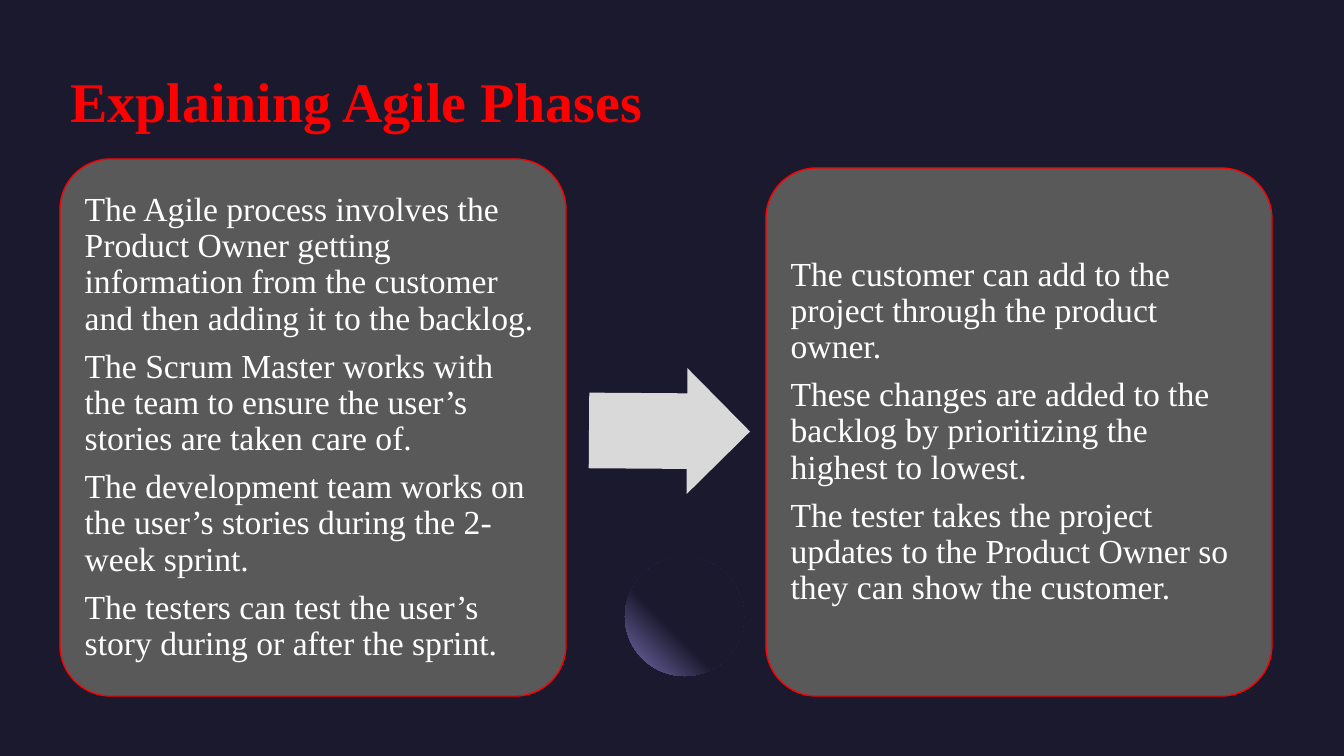
from dataclasses import dataclass

from lxml.etree import SubElement
from pptx import Presentation
from pptx.dml.color import RGBColor
from pptx.enum.shapes import MSO_SHAPE as Preset
from pptx.enum.text import MSO_ANCHOR as Anchor, MSO_AUTO_SIZE as AutoSize, PP_ALIGN as Align
from pptx.oxml.ns import qn
from pptx.shapes.autoshape import Shape
from pptx.slide import Slide
from pptx.text.text import TextFrame
from pptx.util import Emu, Inches, Pt

EMU_PER_PX = 12192000 / 1344
FONT = "Times New Roman"
TITLE_ONLY = 5
COLORS = {
    "background": "1B192E",
    "glow": "7771B2",
    "accent": "FF0000",
    "panel": "595959",
    "arrow": "D9D9D9",
    "text": "FFFFFF",
}


@dataclass(frozen=True)
class Box:
    left: int
    top: int
    width: int
    height: int

    def emu(self) -> list[Emu]:
        return [px(v) for v in (self.left, self.top, self.width, self.height)]


@dataclass(frozen=True)
class Panel:
    box: Box
    paragraphs: tuple[str, ...]


TITLE_BOX = Box(60, 22, 1261, 113)
ORB_BOX = Box(625, 557, 119, 119)
ARROW_BOX = Box(589, 368, 161, 126)
PANELS = (
    Panel(Box(60, 159, 506, 537), (
        "The Agile process involves the Product Owner getting information from the "
        "customer and then adding it to the backlog.",
        "The Scrum Master works with the team to ensure the user’s stories are taken care of.",
        "The development team works on the user’s stories during the 2-week sprint.",
        "The testers can test the user’s story during or after the sprint.",
    )),
    Panel(Box(766, 168, 506, 528), (
        "The customer can add to the project through the product owner.",
        "These changes are added to the backlog by prioritizing the highest to lowest.",
        "The tester takes the project updates to the Product Owner so they can show the customer.",
    )),
)


def px(value: int) -> Emu:
    return Emu(round(value * EMU_PER_PX))


def color(name: str) -> RGBColor:
    return RGBColor.from_string(COLORS[name])


def write(frame: TextFrame, paragraphs: tuple[str, ...], size: int, color_name: str,
          bold: bool = False, space_after: float = 0) -> None:
    frame.word_wrap = True
    frame.auto_size = AutoSize.NONE
    frame.text = "\n".join(paragraphs)
    for paragraph in frame.paragraphs:
        paragraph.alignment = Align.LEFT
        paragraph.line_spacing = 0.9
        paragraph.space_before = Pt(0)
        paragraph.space_after = Pt(space_after)
        paragraph.font.name = FONT
        paragraph.font.size = Pt(size)
        paragraph.font.bold = bold
        paragraph.font.color.rgb = color(color_name)


def add_preset(slide: Slide, preset: Preset, box: Box) -> Shape:
    shape = slide.shapes.add_shape(preset, *box.emu())
    shape.shadow.inherit = False
    shape.line.fill.background()
    return shape


def add_title(slide: Slide, text: str) -> None:
    title = slide.shapes.title
    title.left, title.top, title.width, title.height = TITLE_BOX.emu()
    frame = title.text_frame
    frame.vertical_anchor = Anchor.BOTTOM
    frame.margin_left = Inches(0.1)
    frame.margin_top = frame.margin_right = frame.margin_bottom = 0
    write(frame, (text,), 40, "accent", bold=True)


def add_orb(slide: Slide) -> None:
    """Draw the circle whose glow spreads from its top right corner."""
    orb = add_preset(slide, Preset.OVAL, ORB_BOX)
    orb.fill.gradient()
    stops = (("background", 0.6), ("glow", 1))
    for stop, (name, position) in zip(orb.fill.gradient_stops, stops):
        stop.color.rgb = color(name)
        stop.position = position
    gradient = orb.element.spPr.find(qn("a:gradFill"))
    gradient.remove(gradient.find(qn("a:lin")))
    radial = SubElement(gradient, qn("a:path"), {"path": "circle"})
    SubElement(radial, qn("a:fillToRect"), {"l": "100000", "b": "100000"})


def add_panel(slide: Slide, panel: Panel) -> None:
    shape = add_preset(slide, Preset.ROUNDED_RECTANGLE, panel.box)
    shape.adjustments[0] = 0.1
    shape.fill.solid()
    shape.fill.fore_color.rgb = color("panel")
    shape.line.color.rgb = color("accent")
    shape.line.width = Pt(1)
    frame = shape.text_frame
    frame.vertical_anchor = Anchor.MIDDLE
    frame.margin_left = frame.margin_right = Inches(0.1)
    frame.margin_top = frame.margin_bottom = Inches(0.1)
    write(frame, panel.paragraphs, 24, "text", space_after=8.4)


def add_arrow(slide: Slide) -> None:
    arrow = add_preset(slide, Preset.RIGHT_ARROW, ARROW_BOX)
    arrow.adjustments[0] = 0.6
    arrow.adjustments[1] = 0.5
    arrow.rotation = 0.4
    arrow.fill.solid()
    arrow.fill.fore_color.rgb = color("arrow")


def main() -> None:
    presentation = Presentation()
    presentation.slide_width, presentation.slide_height = px(1344), px(756)
    slide = presentation.slides.add_slide(presentation.slide_layouts[TITLE_ONLY])
    slide.background.fill.solid()
    slide.background.fill.fore_color.rgb = color("background")
    add_title(slide, "Explaining Agile Phases")
    add_orb(slide)
    for panel in PANELS:
        add_panel(slide, panel)
    add_arrow(slide)
    presentation.save("out.pptx")


if __name__ == "__main__":
    main()
